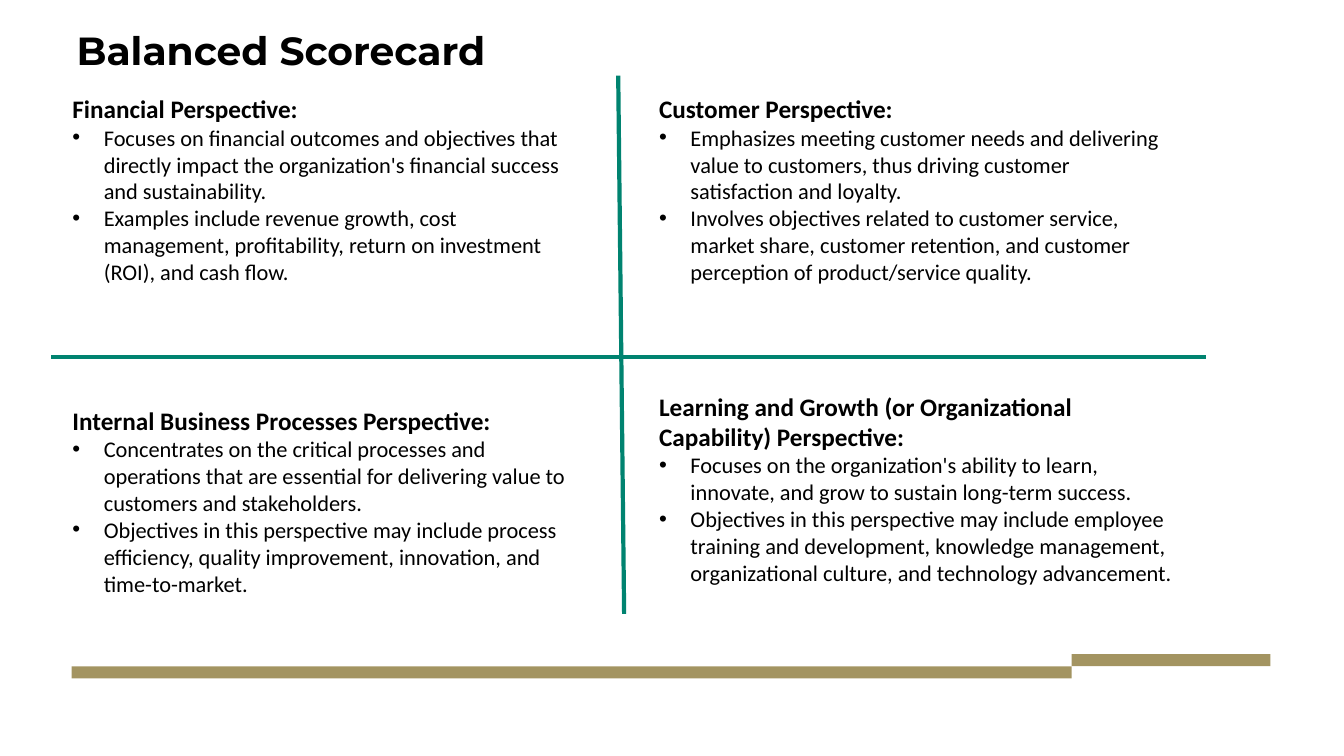
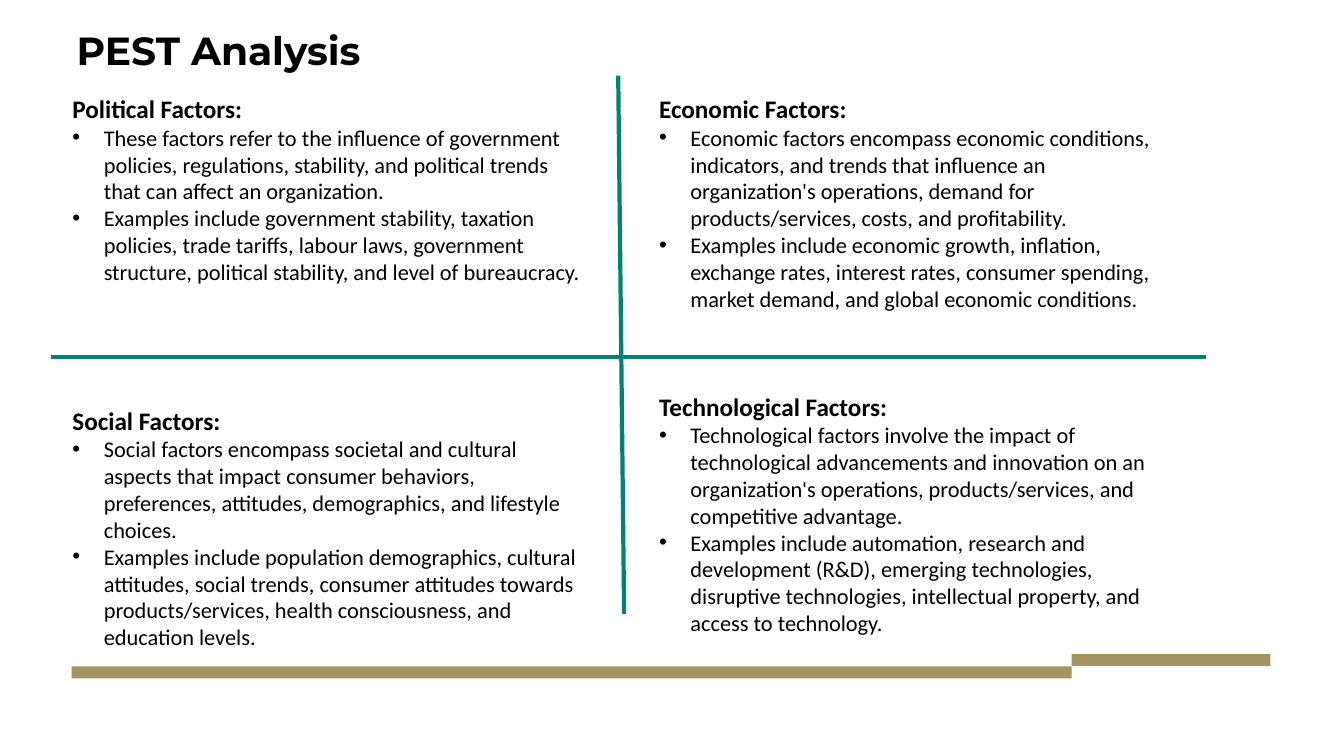
import pptx
import pptx.dml.color
import pptx.enum.shapes
import pptx.enum.text
import pptx.oxml.ns
import pptx.util
import lxml.etree

COLORS = {"band": "A39461", "cross": "008370", "text": "000000"}
BANDS = [(5.33, 88.13, 74.4, 1.6), (79.73, 86.53, 14.8, 1.6)]
CROSS = [(46, 10, 46.44, 81.2), (89.7, 47.2, 3.83, 47.2)]
CELLS = [(4.65, 11.73), (48.3, 11.73), (4.65, 52.93), (48.3, 51.07)]
CELL_SIZE = (39.83, 31)
TITLE = (5.7, 3.47, 88.2, 10.93)
INDENT = 2.34

SLIDES = [
    ("Balanced Scorecard", [
        ("Financial Perspective:", [
            "Focuses on financial outcomes and objectives that directly impact the organization's financial success and sustainability.",
            "Examples include revenue growth, cost management, profitability, return on investment (ROI), and cash flow."]),
        ("Customer Perspective:", [
            "Emphasizes meeting customer needs and delivering value to customers, thus driving customer satisfaction and loyalty.",
            "Involves objectives related to customer service, market share, customer retention, and customer perception of product/service quality."]),
        ("Internal Business Processes Perspective:", [
            "Concentrates on the critical processes and operations that are essential for delivering value to customers and stakeholders.",
            "Objectives in this perspective may include process efficiency, quality improvement, innovation, and time-to-market."]),
        ("Learning and Growth (or Organizational Capability) Perspective:", [
            "Focuses on the organization's ability to learn, innovate, and grow to sustain long-term success.",
            "Objectives in this perspective may include employee training and development, knowledge management, organizational culture, and technology advancement."]),
    ]),
    ("PEST Analysis", [
        ("Political Factors:", [
            "These factors refer to the influence of government policies, regulations, stability, and political trends that can affect an organization.",
            "Examples include government stability, taxation policies, trade tariffs, labour laws, government structure, political stability, and level of bureaucracy."]),
        ("Economic Factors:", [
            "Economic factors encompass economic conditions, indicators, and trends that influence an organization's operations, demand for products/services, costs, and profitability.",
            "Examples include economic growth, inflation, exchange rates, interest rates, consumer spending, market demand, and global economic conditions."]),
        ("Social Factors:", [
            "Social factors encompass societal and cultural aspects that impact consumer behaviors, preferences, attitudes, demographics, and lifestyle choices.",
            "Examples include population demographics, cultural attitudes, social trends, consumer attitudes towards products/services, health consciousness, and education levels."]),
        ("Technological Factors:", [
            "Technological factors involve the impact of technological advancements and innovation on an organization's operations, products/services, and competitive advantage.",
            "Examples include automation, research and development (R&D), emerging technologies, disruptive technologies, intellectual property, and access to technology."]),
    ]),
]


class Deck:
    """Draws styled slides, with lengths in percent of the slide's size."""

    def __init__(self):
        self.prs = pptx.Presentation()
        self.prs.slide_width = pptx.util.Inches(13.33)
        self.prs.slide_height = pptx.util.Inches(7.5)
        self.slide = None

    def across(self, share):
        return round(self.prs.slide_width * share / 100)

    def down(self, share):
        return round(self.prs.slide_height * share / 100)

    def place(self, a, b, c, d):
        return self.across(a), self.down(b), self.across(c), self.down(d)

    def color(self, name):
        return pptx.dml.color.RGBColor.from_string(COLORS[name])

    def start(self, text):
        self.slide = self.prs.slides.add_slide(self.prs.slide_layouts[5])
        for spot in BANDS:
            self.band(spot)
        self.title(text)

    def band(self, spot):
        shape = self.slide.shapes.add_shape(
            pptx.enum.shapes.MSO_SHAPE.RECTANGLE, *self.place(*spot))
        shape.shadow.inherit = False
        shape.fill.solid()
        shape.fill.fore_color.rgb = self.color("band")
        shape.line.fill.background()

    def title(self, text):
        title = self.slide.shapes.title
        title.left, title.top, title.width, title.height = self.place(*TITLE)
        frame = title.text_frame
        frame.margin_left = 0
        frame.word_wrap = True
        frame.auto_size = pptx.enum.text.MSO_AUTO_SIZE.NONE
        frame.vertical_anchor = pptx.enum.text.MSO_ANCHOR.TOP
        par = frame.paragraphs[0]
        par.alignment = pptx.enum.text.PP_ALIGN.LEFT
        par.line_spacing = 0.9
        self.run(par, text, 28, True, "Montserrat")

    def run(self, par, text, size, bold=False, face="Calibri"):
        run = par.add_run()
        run.text = text
        run.font.name = face
        run.font.size = pptx.util.Pt(size)
        run.font.bold = bold
        run.font.color.rgb = self.color("text")

    def bullet(self, par):
        props = par._p.get_or_add_pPr()
        props.set("marL", str(self.across(INDENT)))
        props.set("indent", str(-self.across(INDENT)))
        for tag, key, value in [("a:buFont", "typeface", "Arial"), ("a:buChar", "char", "•")]:
            lxml.etree.SubElement(props, pptx.oxml.ns.qn(tag)).set(key, value)

    def cell(self, spot, head, points):
        box = self.slide.shapes.add_textbox(*self.place(*spot, *CELL_SIZE))
        frame = box.text_frame
        frame.word_wrap = True
        frame.auto_size = pptx.enum.text.MSO_AUTO_SIZE.SHAPE_TO_FIT_TEXT
        self.run(frame.paragraphs[0], head, 18, True)
        for point in points:
            par = frame.add_paragraph()
            self.bullet(par)
            self.run(par, point, 16)

    def line(self, ends):
        line = self.slide.shapes.add_connector(
            pptx.enum.shapes.MSO_CONNECTOR.STRAIGHT, *self.place(*ends))
        line.line.color.rgb = self.color("cross")
        line.line.width = pptx.util.Pt(3)
        lxml.etree.SubElement(line._element.spPr, pptx.oxml.ns.qn("a:effectLst"))


def main():
    deck = Deck()
    for title, cells in SLIDES:
        deck.start(title)
        for spot, (head, points) in zip(CELLS, cells):
            deck.cell(spot, head, points)
        for ends in CROSS:
            deck.line(ends)
    deck.prs.save("out.pptx")


if __name__ == "__main__":
    main()
